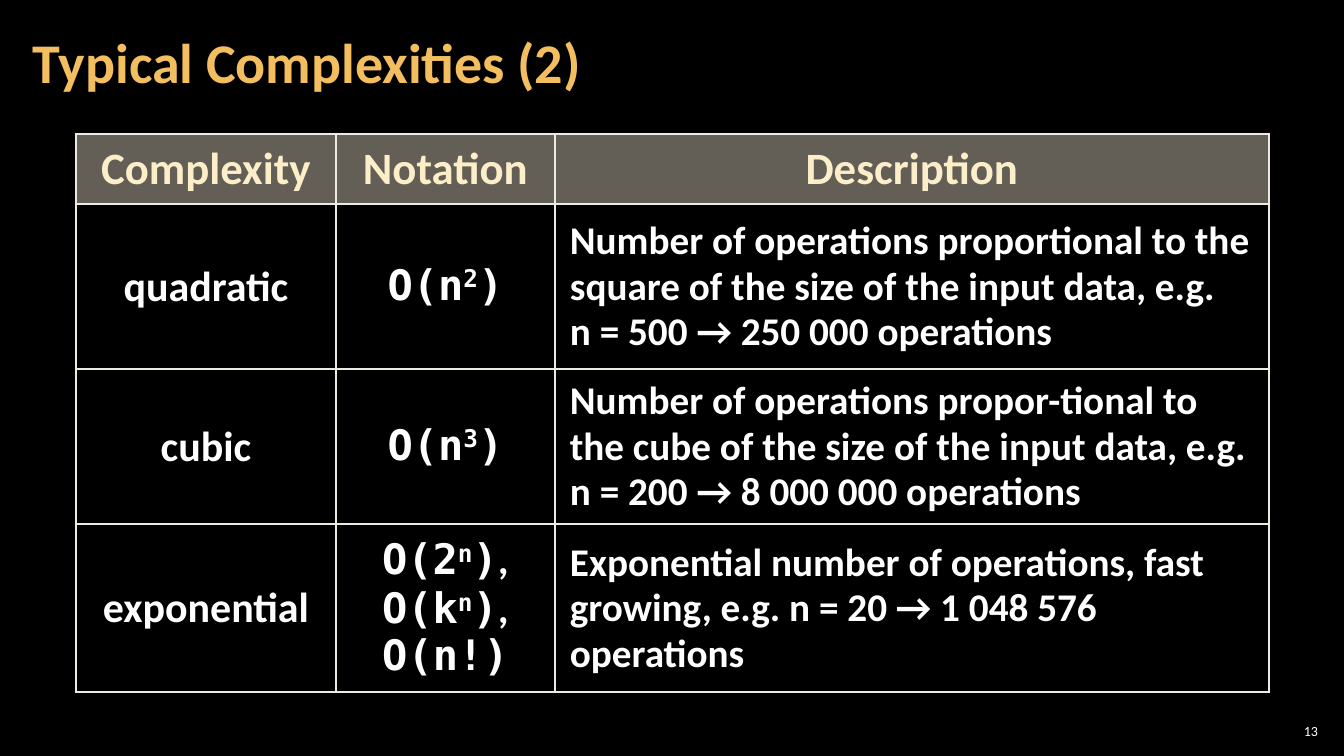
from lxml.etree import SubElement
from pptx import Presentation
from pptx.dml.color import RGBColor
from pptx.enum.text import MSO_ANCHOR as Anchor, MSO_AUTO_SIZE as Fit, PP_ALIGN as Align
from pptx.oxml import parse_xml
from pptx.oxml.ns import nsdecls, qn
from pptx.util import Emu, Pt

SCALE = 12192000 / 1344
SANS, MONO = "Calibri", "DejaVu Sans Mono"
WHITE, GOLD, CREAM, SAND, LINE = "FFFFFF", "F3BE60", "FBEEC9", "C7BFAC", "ECEAE3"
COLS, ROWS = (260, 219, 714), (70, 165, 155, 168)
HEADS = ("Complexity", "Notation", "Description")
ITEMS = (
    ("quadratic", (("O(n", "2", ")", ""),),
     "Number of operations proportional to the square of the size "
     "of the input data, e.g.\nn = 500 → 250 000 operations"),
    ("cubic", (("O(n", "3", ")", ""),),
     "Number of operations propor-tional to the cube of the size "
     "of the input data, e.g. n = 200 → 8 000 000 operations"),
    ("exponential", (("O(2", "n", ")", ","), ("O(k", "n", ")", ","), ("O(n!)", "", "", "")),
     "Exponential number of operations, fast growing, "
     "e.g. n = 20 → 1 048 576 operations"),
)


def px(n):
    """Turn pixels into EMU."""
    return Emu(round(n * SCALE))


def tint(color, code):
    """Set a colour from a hex string."""
    color.rgb = RGBColor.from_string(code)


def style(obj, **vals):
    """Set each named attribute on an object."""
    for key, val in vals.items():
        setattr(obj, key, val)


def write(para, text, size, code=WHITE, face=SANS, bold=True, sup=False):
    """Add one formatted run, with line breaks, to a paragraph."""
    for i, line in enumerate(text.split("\n")):
        if i:
            para.add_line_break()
        run = para.add_run()
        run.text = line
        style(run.font, name=face, size=Pt(size), bold=bold)
        tint(run.font.color, code)
        if sup:
            run.font._element.set("baseline", "30000")


def frame(obj, pad_x, pad_y):
    """Set the insets and middle anchor of a frame or cell."""
    style(obj, margin_left=px(pad_x), margin_right=px(pad_x), margin_top=px(pad_y),
          margin_bottom=px(pad_y), vertical_anchor=Anchor.MIDDLE)


def edge(cell, row, col):
    """Draw cell borders, heavy around the table and under its head."""
    heavy = {"L": col == 0, "R": col == len(COLS) - 1,
             "T": row < 2, "B": row in (0, len(ROWS) - 1)}
    props = cell._tc.get_or_add_tcPr()
    for i, (side, thick) in enumerate(heavy.items()):
        width = Pt(2.25 if thick else 1)
        props.insert(i, parse_xml(
            f'<a:ln{side} {nsdecls("a")} w="{width}"><a:solidFill>'
            f'<a:srgbClr val="{LINE}"/></a:solidFill></a:ln{side}>'))


def shade(cell, head):
    """Give a head cell a half-clear fill and a body cell none."""
    if not head:
        cell.fill.background()
        return
    cell.fill.solid()
    tint(cell.fill.fore_color, SAND)
    color = cell._tc.tcPr.find(".//" + qn("a:srgbClr"))
    SubElement(color, qn("a:alpha")).set("val", "50000")


def notate(text, lines):
    """Write formulas with raised exponents, one a paragraph."""
    for i, (base, power, close, mark) in enumerate(lines):
        para = text.add_paragraph() if i else text.paragraphs[0]
        for part, face, sup in ((base, MONO, False), (power, MONO, True),
                                (close, MONO, False), (mark, SANS, False)):
            if part:
                write(para, part, 30, face=face, sup=sup)


def grid(slide, x, y):
    """Build the table of complexities."""
    table = slide.shapes.add_table(len(ROWS), len(COLS), px(x), px(y),
                                   px(sum(COLS)), px(sum(ROWS))).table
    style(table, first_row=False, horz_banding=False)
    for col, width in zip(table.columns, COLS):
        col.width = px(width)
    for row, height in zip(table.rows, ROWS):
        row.height = px(height)
    for r, vals in enumerate((HEADS, *ITEMS)):
        for c, val in enumerate(vals):
            cell = table.cell(r, c)
            frame(cell, 15, 5)
            shade(cell, r == 0)
            edge(cell, r, c)
            text = cell.text_frame
            if r == 0:
                write(text.paragraphs[0], val, 32, CREAM)
            elif c == 1:
                notate(text, val)
            else:
                write(text.paragraphs[0], val, 28 if c == 2 else 30)
            align = Align.LEFT if r and c == 2 else Align.CENTER
            for para in text.paragraphs:
                style(para, alignment=align, line_spacing=0.95)


def head(slide, x, y, w, h):
    """Place and format the title."""
    title = slide.shapes.title
    style(title, left=px(x), top=px(y), width=px(w), height=px(h))
    text = title.text_frame
    style(text, auto_size=Fit.NONE, word_wrap=True)
    frame(text, 12, 4)
    para = text.paragraphs[0]
    style(para, alignment=Align.LEFT, line_spacing=0.9)
    write(para, "Typical Complexities (2)", 40, GOLD)


def number(slide, x, y, w, h):
    """Place the page number."""
    text = slide.shapes.add_textbox(px(x), px(y), px(w), px(h)).text_frame
    text.word_wrap = True
    frame(text, 4, 4)
    para = text.paragraphs[0]
    para.alignment = Align.RIGHT
    write(para, "13", 10, bold=False)


def main():
    """Build and save the slide."""
    deck = Presentation()
    style(deck, slide_width=px(1344), slide_height=px(756))
    slide = deck.slides.add_slide(deck.slide_layouts[5])
    slide.background.fill.solid()
    tint(slide.background.fill.fore_color, "000000")
    head(slide, 21, 4, 1055, 122)
    grid(slide, 76, 134)
    number(slide, 1275, 720, 47, 21)
    deck.save("out.pptx")


if __name__ == "__main__":
    main()
